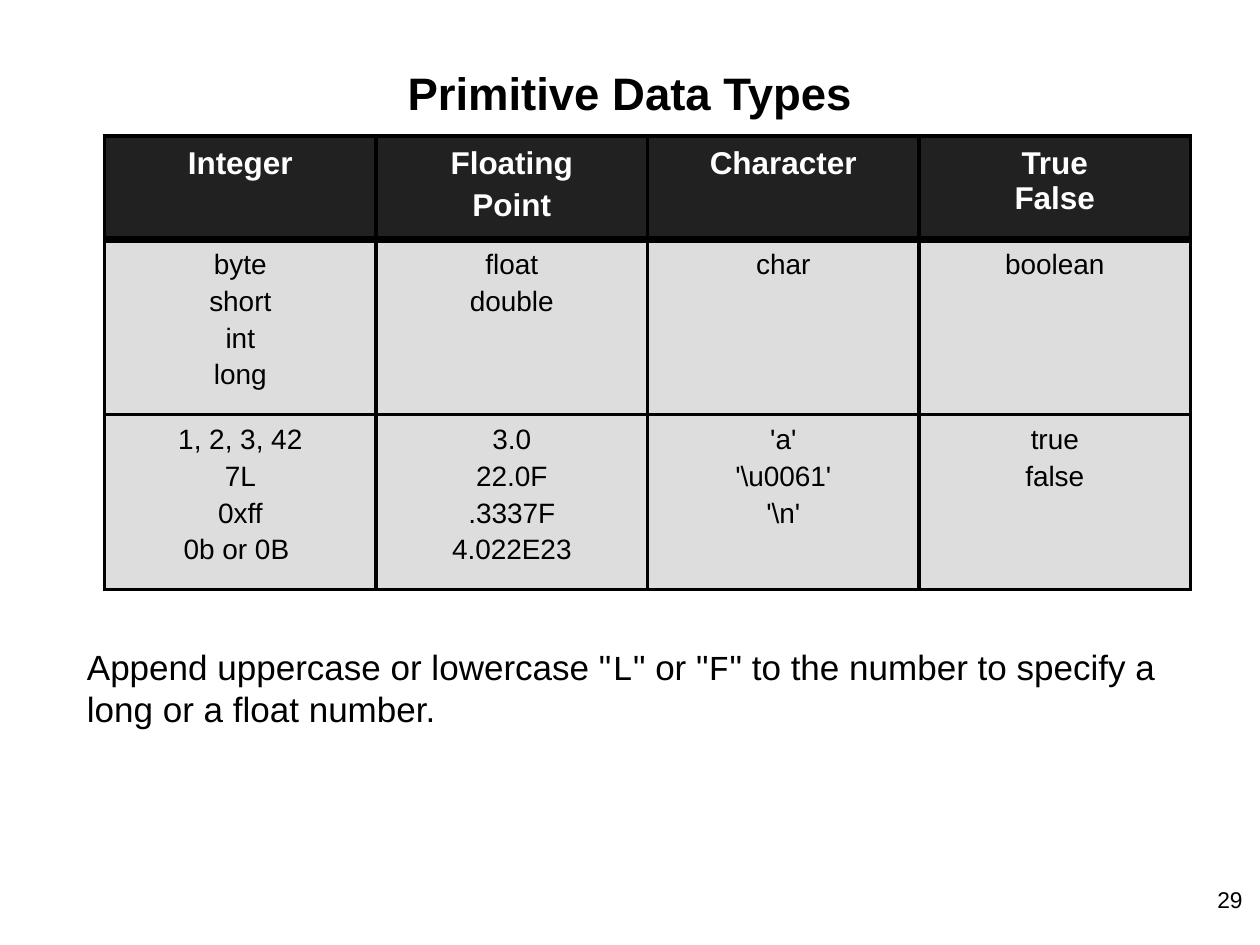
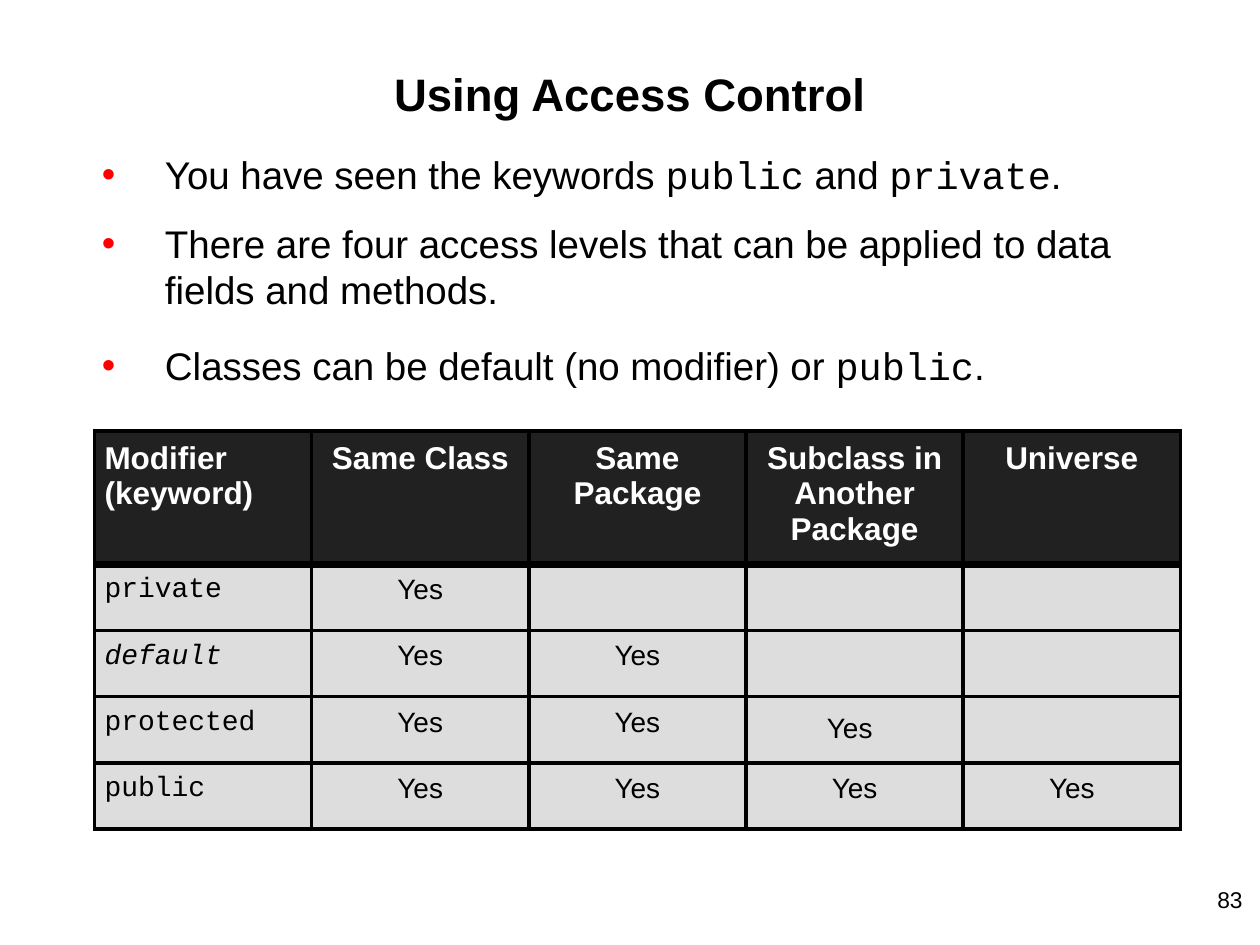
from lxml import etree
from pptx import Presentation
from pptx.dml.color import RGBColor
from pptx.enum.text import PP_ALIGN as Align
from pptx.oxml.ns import qn
from pptx.util import Inches, Pt

BLACK, WHITE, RED = "000000", "FFFFFF", "FF0000"
HEADER_FILL, BODY_FILL = "212121", "DDDDDD"
SANS, MONO = "Arial", "Courier New"
RULE, HEAVY_RULE = 2.25, 4.5
MARGIN, CONTENT_WIDTH = 0.67, 8.66


def rgb(value):
    return RGBColor.from_string(value)


def write(paragraph, text, size, color=BLACK, bold=False, align=Align.LEFT):
    font = paragraph.font
    font.name, font.size, font.bold = SANS, Pt(size), bold
    font.color.rgb = rgb(color)
    paragraph.alignment = align
    if "`" not in text:
        paragraph.text = text
        return
    for index, part in enumerate(text.split("`")):
        if part:
            run = paragraph.add_run()
            run.text = part
            run.font.name = MONO if index % 2 else SANS


def add_text_frame(slide, box, inset, top_inset):
    frame = slide.shapes.add_textbox(*map(Inches, box)).text_frame
    frame.word_wrap = True
    frame.margin_left = frame.margin_right = frame.margin_bottom = Inches(inset)
    frame.margin_top = Inches(top_inset)
    return frame


def add_frame(deck, title, title_height, number):
    slide = deck.slides.add_slide(deck.slide_layouts[6])
    heading = add_text_frame(slide, (MARGIN, 0.48, CONTENT_WIDTH, title_height), 0.01, 0.04)
    write(heading.paragraphs[0], title, 26, bold=True, align=Align.CENTER)
    page = add_text_frame(slide, (9.36, 6.93, 0.6, 0.57), 0.1, 0.1)
    write(page.paragraphs[0], str(number), 13, align=Align.RIGHT)
    return slide


def add_bullet(paragraph):
    properties = paragraph._p.get_or_add_pPr()
    properties.set("marL", str(Inches(0.63)))
    properties.set("indent", str(Inches(-0.5)))
    color = etree.SubElement(properties, qn("a:buClr"))
    etree.SubElement(color, qn("a:srgbClr"), val=RED)
    etree.SubElement(properties, qn("a:buFont"), typeface=SANS)
    etree.SubElement(properties, qn("a:buChar"), char="•")


def add_bullets(slide, box, bullets):
    frame = add_text_frame(slide, box, 0.01, 0.03)
    for index, (text, space_before) in enumerate(bullets):
        paragraph = frame.add_paragraph() if index else frame.paragraphs[0]
        add_bullet(paragraph)
        write(paragraph, text, 22)
        paragraph.line_spacing = Pt(26.5)
        if index:
            paragraph.space_before = Pt(space_before)


def set_borders(cell, top, bottom):
    properties = cell._tc.get_or_add_tcPr()
    for side, width in (("L", RULE), ("R", RULE), ("T", top), ("B", bottom)):
        line = etree.SubElement(properties, qn(f"a:ln{side}"), w=str(Pt(width)))
        fill = etree.SubElement(line, qn("a:solidFill"))
        etree.SubElement(fill, qn("a:srgbClr"), val=BLACK)


def fill_cell(cell, text, row, align):
    header = row == 0
    size = 18 if header else 16
    set_borders(cell, HEAVY_RULE if row == 1 else RULE, HEAVY_RULE if header else RULE)
    cell.fill.solid()
    cell.fill.fore_color.rgb = rgb(HEADER_FILL if header else BODY_FILL)
    cell.margin_left = cell.margin_right = Inches(0.08)
    cell.margin_top = cell.margin_bottom = Inches(0.08)
    if not text:
        return
    frame = cell.text_frame
    for index, line in enumerate(text.split("\n")):
        paragraph = frame.add_paragraph() if index else frame.paragraphs[0]
        write(paragraph, line, size, WHITE if header else BLACK, header, align)
        if index:
            paragraph.space_before = Pt(size * 0.2)


def add_grid(slide, box, row_heights, rows, label_column=False):
    table = slide.shapes.add_table(len(rows), len(rows[0]), *map(Inches, box)).table
    table.first_row = table.horz_banding = False
    for column in table.columns:
        column.width = Inches(box[2] / len(rows[0]))
    for row, (height, texts) in enumerate(zip(row_heights, rows)):
        table.rows[row].height = Inches(height)
        for column, text in enumerate(texts):
            align = Align.LEFT if label_column and column == 0 else Align.CENTER
            fill_cell(table.cell(row, column), text, row, align)
    return table


def build_data_types(deck):
    slide = add_frame(deck, "Primitive Data Types", 0.96, 29)
    note = add_text_frame(slide, (MARGIN, 5.09, CONTENT_WIDTH, 1.91), 0.02, 0.03)
    write(note.paragraphs[0], 'Append uppercase or lowercase "`L`" or "`F`" to the number '
          "to specify a long or a float number.", 20)
    add_grid(slide, (0.83, 1.08, 8.62, 3.6), (0.82, 1.39, 1.39), [
        ("Integer", "Floating\nPoint", "Character", "True\vFalse"),
        ("byte\nshort\nint\nlong", "float\ndouble", "char", "boolean"),
        ("1, 2, 3, 42\n7L\n0xff\n0b or 0B ", "3.0\n22.0F\n.3337F\n4.022E23",
         "'a'\n'\\u0061'\n'\\n'", "true\nfalse"),
    ])


def build_access_control(deck):
    slide = add_frame(deck, "Using Access Control", 0.52, 83)
    add_bullets(slide, (MARGIN, 1.17, CONTENT_WIDTH, 2), [
        ("You have seen the keywords `public` and `private`.", 0),
        ("There are four access levels that can be applied to data fields and methods.", 12.5),
        ("Classes can be default (no modifier) or `public`.", 17),
    ])
    levels = add_grid(slide, (0.75, 3.42, 8.62, 3.16), (1.06, *[0.525] * 4), [
        ("Modifier (keyword)", "Same Class", "Same Package",
         "Subclass in Another Package", "Universe"),
        ("`private`", "Yes", "", "", ""),
        ("`default`", "Yes", "Yes", "", ""),
        ("`protected`", "Yes", "Yes", "Yes", ""),
        ("`public`", "Yes", "Yes", "Yes", "Yes"),
    ], label_column=True)
    levels.cell(2, 0).text_frame.paragraphs[0].font.italic = True
    trailing_space = levels.cell(3, 3).text_frame.paragraphs[0].add_run()
    trailing_space.text = " "
    trailing_space.font.size = Pt(20)


def main():
    deck = Presentation()
    deck.slide_width, deck.slide_height = Inches(10), Inches(7.5)
    build_data_types(deck)
    build_access_control(deck)
    deck.save("out.pptx")


if __name__ == "__main__":
    main()
